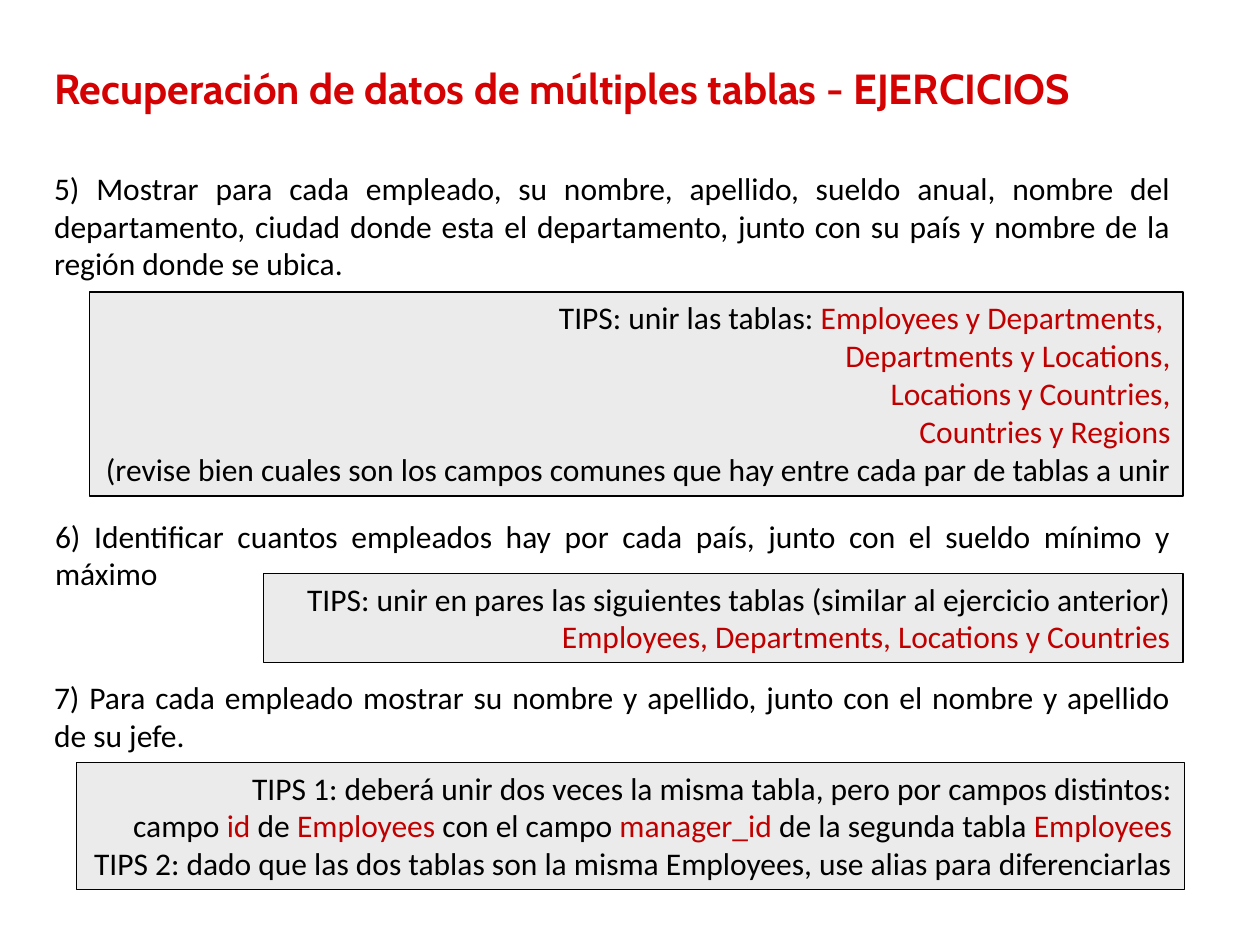
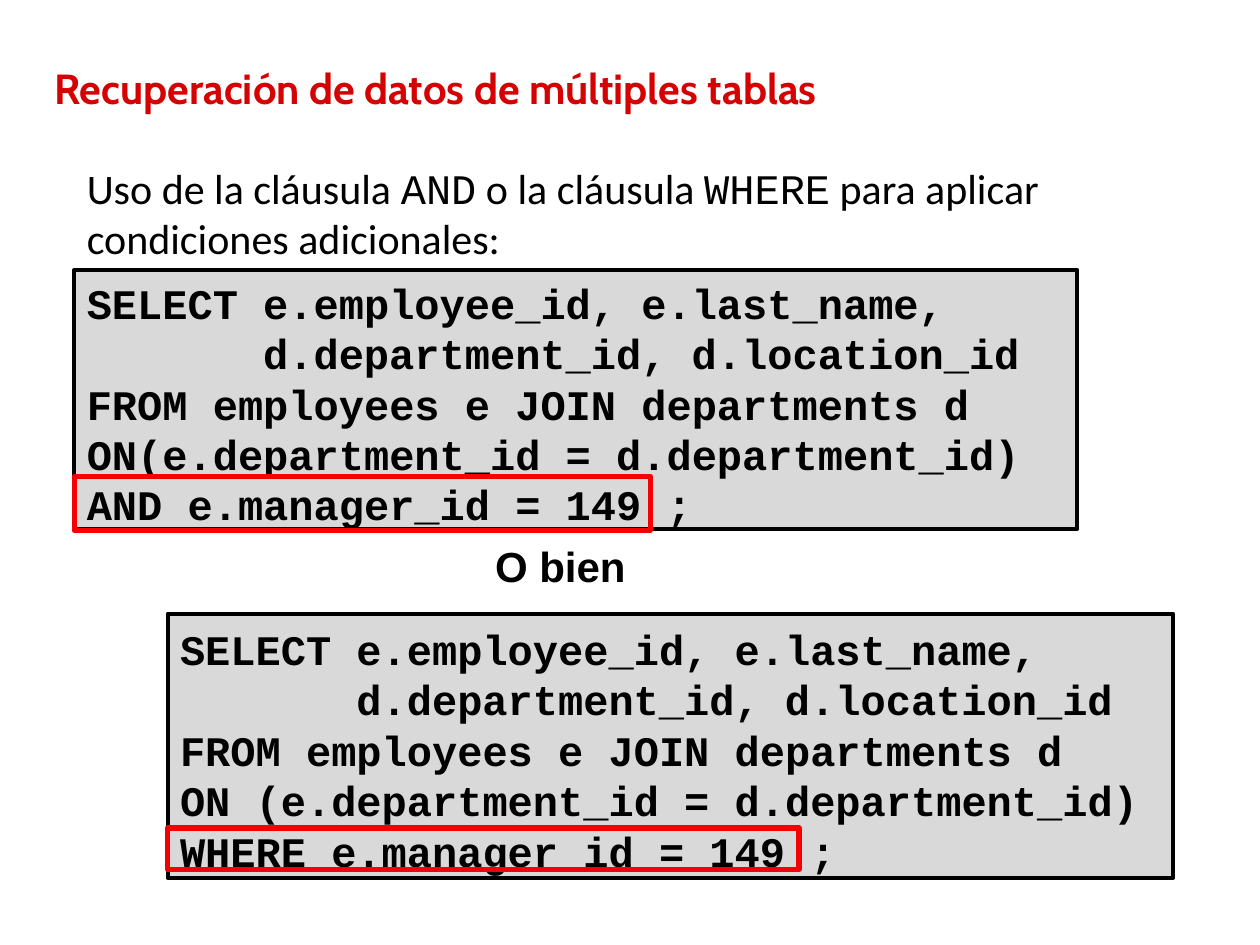
from dataclasses import dataclass

from lxml.etree import SubElement
from pptx import Presentation
from pptx.dml.color import RGBColor
from pptx.enum.shapes import MSO_SHAPE as Preset
from pptx.enum.text import MSO_ANCHOR as Anchor, PP_ALIGN as Align
from pptx.oxml.ns import qn
from pptx.shapes.autoshape import Shape
from pptx.slide import Slide
from pptx.text.text import TextFrame
from pptx.util import Cm, Length, Pt

BLACK = "000000"
TITLE_RED = "D40202"
TABLE_RED = "C00000"
MARK_RED = "F40202"
GREY = "D9D9D9"
CODE_FONT = "Courier New"
CODE_INDENT = Pt(7 * 14.4)


@dataclass(frozen=True)
class Frame:
    left: float
    top: float
    width: float
    height: float

    def lengths(self) -> list[Length]:
        return [Cm(side) for side in (self.left, self.top, self.width, self.height)]


@dataclass(frozen=True)
class Style:
    font: str
    size: float
    bold: bool = False
    color: str = BLACK
    align: Align = Align.LEFT


@dataclass(frozen=True)
class Span:
    text: str
    color: str | None = None
    font: str | None = None


@dataclass(frozen=True)
class TextBlock:
    frame: Frame
    lines: list[list[Span]]


@dataclass(frozen=True)
class CodeBlock:
    frame: Frame
    mark: Frame
    join: str
    condition: str


TITLE = Style("Cabin", 24, True, TITLE_RED)
STATEMENT = Style("Calibri", 18, align=Align.JUSTIFY)
TIP = Style("Calibri", 18, align=Align.RIGHT)
INTRO = Style("Calibri", 24)
CODE = Style(CODE_FONT, 24, True)
LINK = Style("Arial", 24, True)

TITLE_FRAME = Frame(0.84, 0.48, 22.25, 2.57)


def rgb(color: str) -> RGBColor:
    return RGBColor.from_string(color)


def red(text: str) -> Span:
    return Span(text, TABLE_RED)


def write(text_frame: TextFrame, lines: list[list[Span]], style: Style) -> None:
    text_frame.word_wrap = True
    for index, line in enumerate(lines):
        para = text_frame.add_paragraph() if index else text_frame.paragraphs[0]
        para.alignment = style.align
        para.font.name = style.font
        para.font.size = Pt(style.size)
        para.font.bold = style.bold
        para.font.color.rgb = rgb(style.color)
        for span in line:
            run = para.add_run()
            run.text = span.text
            if span.color:
                run.font.color.rgb = rgb(span.color)
            if span.font:
                run.font.name = span.font


def add_page(deck: Presentation, title: str) -> Slide:
    page = deck.slides.add_slide(deck.slide_layouts.get_by_name("Title Only"))
    heading = page.shapes.title
    heading.left, heading.top, heading.width, heading.height = TITLE_FRAME.lengths()
    heading.text_frame.vertical_anchor = Anchor.MIDDLE
    write(heading.text_frame, [[Span(title)]], TITLE)
    return page


def add_text(page: Slide, block: TextBlock, style: Style) -> TextFrame:
    box = page.shapes.add_textbox(*block.frame.lengths())
    write(box.text_frame, block.lines, style)
    return box.text_frame


def add_box(page: Slide, frame: Frame, line: str, weight: float,
            fill: str | None = None, opacity: int = 100) -> Shape:
    box = page.shapes.add_shape(Preset.RECTANGLE, *frame.lengths())
    box.shadow.inherit = False
    box.line.color.rgb = rgb(line)
    box.line.width = Pt(weight)
    if fill is None:
        box.fill.background()
        return box
    box.fill.solid()
    box.fill.fore_color.rgb = rgb(fill)
    if opacity < 100:
        tint = box._element.spPr.find(qn("a:solidFill"))[0]
        SubElement(tint, qn("a:alpha")).set("val", str(opacity * 1000))
    return box


def add_tip(page: Slide, tip: TextBlock) -> None:
    box = add_box(page, tip.frame, BLACK, 0.75, GREY, 50)
    box.text_frame.vertical_anchor = Anchor.TOP
    write(box.text_frame, tip.lines, TIP)


def add_code(page: Slide, code: CodeBlock) -> None:
    box = add_box(page, code.frame, BLACK, 2.25, GREY)
    text_frame = box.text_frame
    text_frame.vertical_anchor = Anchor.MIDDLE
    text_frame.margin_top, text_frame.margin_bottom = Cm(0.15), Cm(0)
    lines = [
        "SELECT e.employee_id, e.last_name,",
        "d.department_id, d.location_id",
        "FROM employees e JOIN departments d",
        code.join,
        code.condition,
    ]
    write(text_frame, [[Span(line)] for line in lines], CODE)
    for para in text_frame.paragraphs:
        para.line_spacing = Pt(28.8)
    columns = text_frame.paragraphs[1]._p.get_or_add_pPr()
    columns.set("marL", str(int(CODE_INDENT)))
    columns.set("indent", "0")
    add_box(page, code.mark, MARK_RED, 3)


STATEMENTS = [
    TextBlock(Frame(0.84, 3.28, 23.01, 2.57), [[Span(
        "5) Mostrar para cada empleado, su nombre, apellido, sueldo anual, "
        "nombre del departamento, ciudad donde esta el departamento, "
        "junto con su país y nombre de la región donde se ubica.")]]),
    TextBlock(Frame(0.86, 10.29, 22.99, 1.8), [[Span(
        "6) Identificar cuantos empleados hay por cada país, "
        "junto con el sueldo mínimo y máximo")]]),
    TextBlock(Frame(0.84, 13.54, 23.01, 1.8), [[Span(
        "7) Para cada empleado mostrar su nombre y apellido, "
        "junto con el nombre y apellido de su jefe.")]]),
]

TIPS = [
    TextBlock(Frame(1.8, 5.89, 22.05, 4.11), [
        [Span("TIPS: unir las tablas: "), red("Employees y Departments, ")],
        [red("Departments y Locations,")],
        [red("Locations y Countries,")],
        [red("Countries y Regions")],
        [Span("(revise bien cuales son los campos comunes que hay "
              "entre cada par de tablas a unir")],
    ]),
    TextBlock(Frame(5.31, 11.56, 18.54, 1.8), [
        [Span("TIPS: unir en pares las siguientes tablas "
              "(similar al ejercicio anterior)")],
        [red("Employees, Departments, Locations y Countries")],
    ]),
    TextBlock(Frame(1.55, 15.37, 22.33, 2.57), [
        [Span("TIPS 1: deberá unir dos veces la misma tabla, "
              "pero por campos distintos:")],
        [Span("campo "), red("id"), Span(" de "), red("Employees "),
         Span("con el campo "), red("manager_id "),
         Span("de la segunda tabla "), red("Employees")],
        [Span("TIPS 2: dado que las dos tablas son la misma Employees, "
              "use alias para diferenciarlas")],
    ]),
]

USAGE = TextBlock(Frame(1.5, 3.15, 22, 1.93), [[
    Span("Uso de la cláusula "), Span("AND", font=CODE_FONT),
    Span(" o la cláusula "), Span("WHERE", font=CODE_FONT),
    Span(" para aplicar condiciones adicionales:"),
]])

ALTERNATIVE = TextBlock(Frame(9.73, 10.77, 3.4, 1.3), [[Span("O bien")]])

QUERIES = [
    CodeBlock(Frame(1.5, 5.44, 20.22, 5.23), Frame(1.5, 9.6, 11.61, 1.09),
              "ON(e.department_id = d.department_id)",
              "AND e.manager_id = 149 ;"),
    CodeBlock(Frame(3.38, 12.37, 20.27, 5.33), Frame(3.38, 16.69, 12.73, 0.84),
              "ON (e.department_id = d.department_id)",
              "WHERE e.manager_id = 149 ;"),
]


def build_exercises(deck: Presentation) -> None:
    page = add_page(deck, "Recuperación de datos de múltiples tablas - EJERCICIOS")
    for statement in STATEMENTS:
        add_text(page, statement, STATEMENT)
    for tip in TIPS:
        add_tip(page, tip)


def build_conditions(deck: Presentation) -> None:
    page = add_page(deck, "Recuperación de datos de múltiples tablas")
    usage = add_text(page, USAGE, INTRO)
    usage.paragraphs[0].space_before = Pt(2)
    for query in QUERIES:
        add_code(page, query)
    add_text(page, ALTERNATIVE, LINK)


def main() -> None:
    deck = Presentation()
    deck.slide_width, deck.slide_height = Cm(25.4), Cm(19.05)
    build_exercises(deck)
    build_conditions(deck)
    deck.save("out.pptx")


if __name__ == "__main__":
    main()
